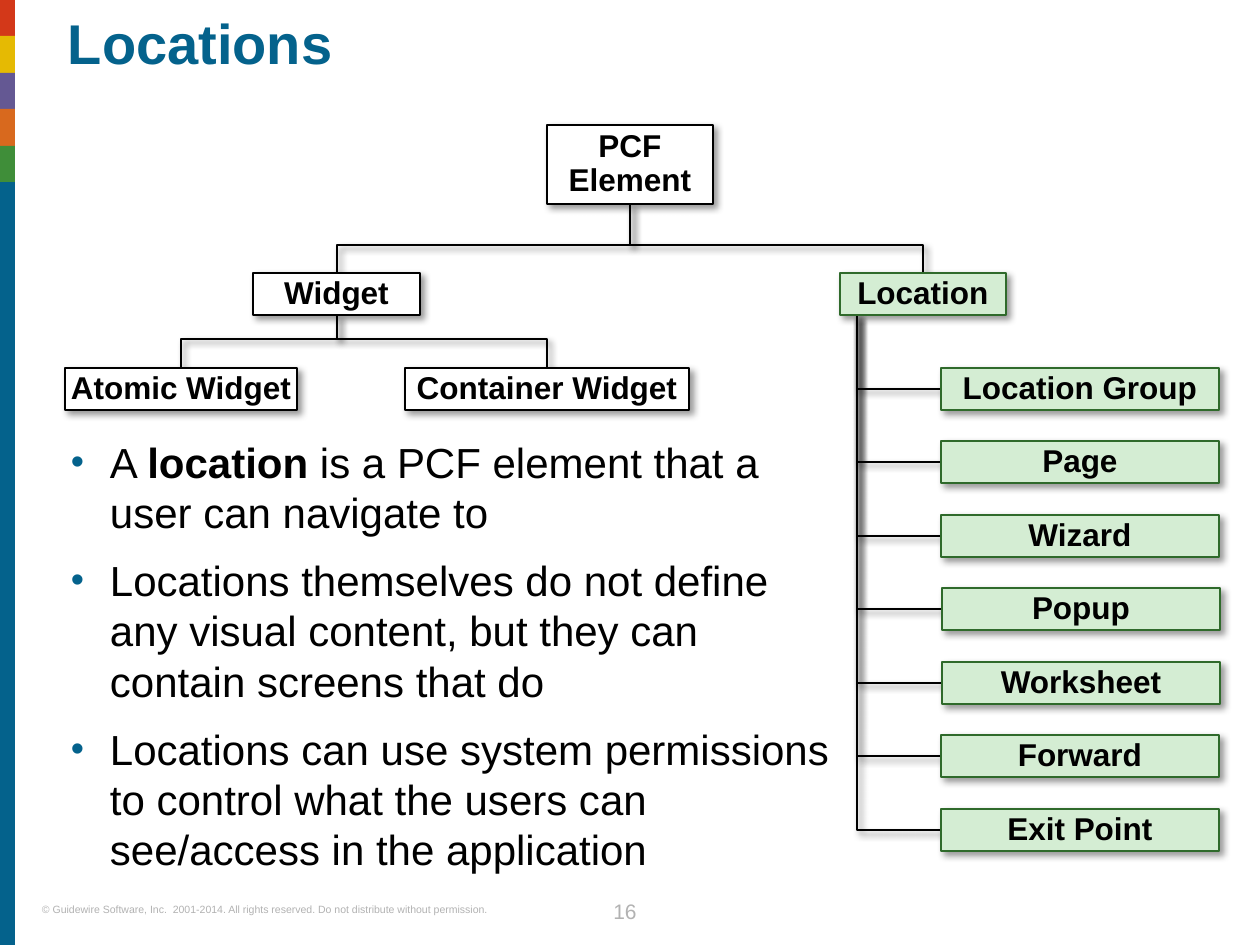
"""Build the Locations slide: a PCF element tree beside three bullet points."""
from lxml.etree import SubElement
from pptx import Presentation
from pptx.dml.color import RGBColor as Rgb
from pptx.enum.shapes import MSO_SHAPE as Shape
from pptx.enum.text import MSO_ANCHOR as Anchor, PP_ALIGN as Align
from pptx.oxml import parse_xml
from pptx.oxml.ns import nsdecls, qn
from pptx.util import Pt

PX = 914400 / 126
THEME = {
    "font": "Arial", "ink": "000000", "brand": "04628C", "muted": "B2B2B2",
    "plain": ("FFFFFF", "000000"), "green": ("D4EDD3", "2F6A2B"),
    "stripes": ["D33819", "E5BA03", "645893", "D8691E", "3F8E39"],
    "title": 32, "body": 24, "node": 18, "page": 12, "legal": 6, "line": 1.5,
}
SHADOW = (
    f'<a:outerShdw {nsdecls("a")} blurRad="50800" dist="38100" dir="2700000" algn="tl" rotWithShape="0">'
    '<a:srgbClr val="000000"><a:alpha val="40000"/></a:srgbClr></a:outerShdw>'
)


def write(holder, runs, size, color, anchor=Anchor.TOP, margin=0, **layout):
    frame = holder.text_frame
    margins = dict.fromkeys(("margin_left", "margin_right", "margin_top", "margin_bottom"), round(margin * PX))
    for name, value in {"word_wrap": True, "vertical_anchor": anchor, **margins}.items():
        setattr(frame, name, value)
    paragraph = frame.paragraphs[0]
    if paragraph.runs:
        paragraph = frame.add_paragraph()
    for name, value in layout.items():
        setattr(paragraph, name, value)
    for words, bold in runs:
        run = paragraph.add_run()
        run.text = words
        for name, value in {"name": THEME["font"], "size": Pt(size), "bold": bold}.items():
            setattr(run.font, name, value)
        run.font.color.rgb = Rgb.from_string(color)
    return paragraph


def outline(part, color):
    part.line.color.rgb = Rgb.from_string(color)
    part.line.width = Pt(THEME["line"])
    part.shadow.inherit = False
    part._element.spPr.find(qn("a:effectLst")).append(parse_xml(SHADOW))


deck = Presentation()
deck.slide_width, deck.slide_height = round(1260 * PX), round(945 * PX)
slide = deck.slides.add_slide(deck.slide_layouts[6])
shapes = slide.shapes

edges = [73 * step // 2 for step in range(6)] + [945]
for top, bottom, color in zip(edges, edges[1:], THEME["stripes"] + [THEME["brand"]]):
    stripe = shapes.add_shape(Shape.RECTANGLE, 0, round(top * PX), round(15 * PX), round((bottom - top) * PX))
    stripe.shadow.inherit = False
    stripe.fill.solid()
    stripe.fill.fore_color.rgb = Rgb.from_string(color)
    stripe.line.fill.background()

labels = [
    ((42, 903, 507, 13), "© Guidewire Software, Inc.  2001-2014. All rights reserved. Do not distribute without permission.",
     "legal", "muted", False, {}),
    ((589, 892, 72, 32), "16", "page", "muted", False, {"alignment": Align.CENTER, "line_spacing": Pt(18)}),
    ((68, 16, 1147, 102), "Locations", "title", "brand", True, {"line_spacing": 0.9}),
]
for area, words, size, color, bold, layout in labels:
    label = shapes.add_textbox(*[round(side * PX) for side in area])
    write(label, [(words, bold)], THEME[size], THEME[color], **layout)

points = [
    [("A ", False), ("location", True), (" is a PCF element that a user can navigate to", False)],
    [("Locations themselves do not define any visual content, but they can contain screens that do", False)],
    [("Locations can use system permissions to control what the users can see/access in the application", False)],
]
body = shapes.add_textbox(*[round(side * PX) for side in (71, 436, 762, 446)])
for order, runs in enumerate(points):
    paragraph = write(body, runs, THEME["body"], THEME["ink"], space_before=Pt(10 if order else 0))
    props = paragraph._p.get_or_add_pPr()
    props.set("marL", str(round(39 * PX)))
    props.set("indent", str(round(-39 * PX)))
    SubElement(SubElement(props, qn("a:buClr")), qn("a:srgbClr")).set("val", THEME["brand"])
    SubElement(props, qn("a:buSzPct")).set("val", "90000")
    SubElement(props, qn("a:buFont")).set("typeface", THEME["font"])
    SubElement(props, qn("a:buChar")).set("char", "•")

kinds = {"Location Group": 941, "Page": 941, "Wizard": 941, "Popup": 942,
         "Worksheet": 942, "Forward": 941, "Exit Point": 941}
nodes = [
    ("PCF Element", (547, 125, 166, 79), "plain"),
    ("Widget", (253, 273, 167, 42), "plain"),
    ("Atomic Widget", (65, 368, 232, 42), "plain"),
    ("Container Widget", (405, 368, 284, 42), "plain"),
    ("Location", (840, 273, 166, 42), "green"),
]
branches = []
for row, (kind, left) in enumerate(kinds.items()):
    top = 368 + 147 * row // 2
    nodes.append((kind, (left, top, 278, 42), "green"))
    branches.append([(857, 315), (857, top + 21), (left, top + 21)])

forks = [(630, 204, 245, 923, 273), (337, 315, 339, 547, 368), (337, 315, 339, 181, 368), (630, 204, 245, 337, 273)]
elbows = [[(start, top), (start, bend), (end, bend), (end, bottom)] for start, top, bend, end, bottom in forks]
for first, *rest in branches[::-1] + elbows:
    tracer = shapes.build_freeform(*first, scale=PX)
    tracer.add_line_segments(rest, close=False)
    branch = tracer.convert_to_shape()
    branch.fill.background()
    outline(branch, THEME["ink"])

for words, area, tone in nodes:
    fill, border = THEME[tone]
    node = shapes.add_shape(Shape.RECTANGLE, *[round(side * PX) for side in area])
    node.fill.solid()
    node.fill.fore_color.rgb = Rgb.from_string(fill)
    outline(node, border)
    write(node, [(words, True)], THEME["node"], THEME["ink"], Anchor.MIDDLE, 1,
          alignment=Align.CENTER, line_spacing=0.9)

deck.save("out.pptx")
